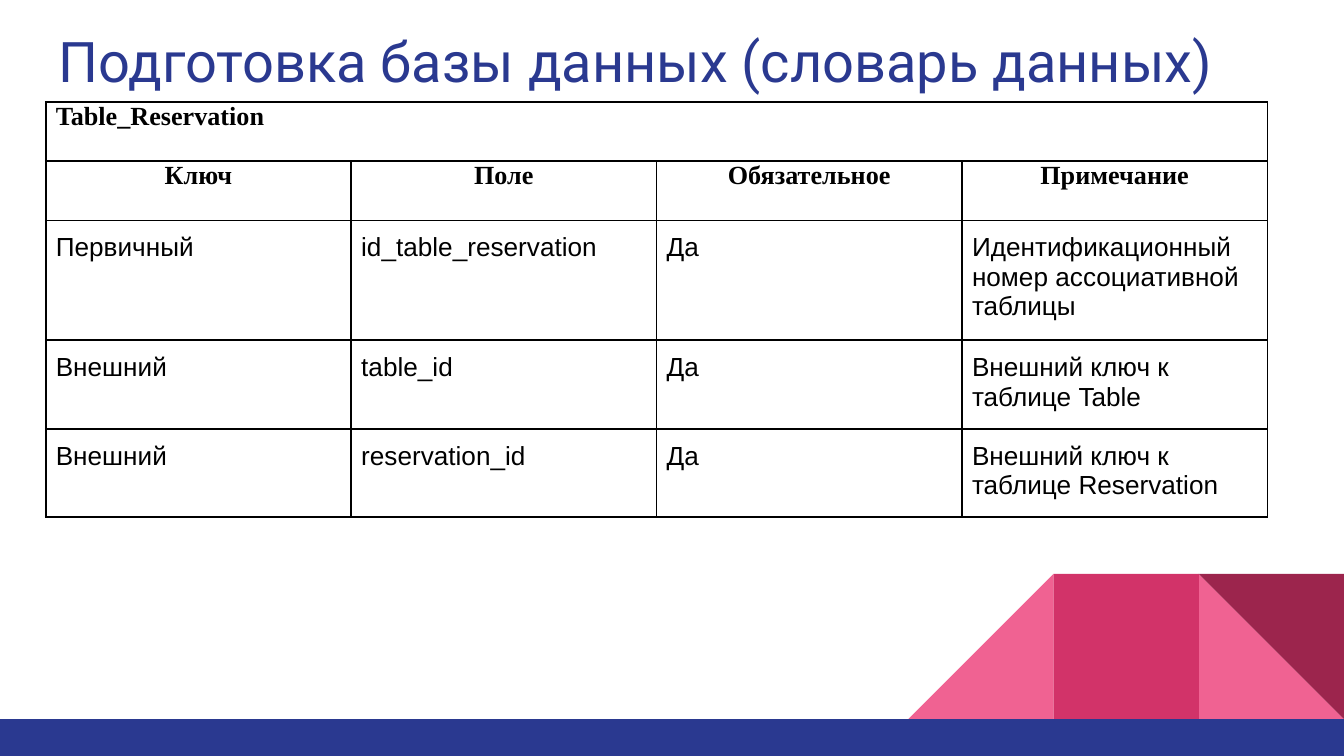
from lxml import etree
from pptx import Presentation
from pptx.dml.color import RGBColor
from pptx.enum.shapes import MSO_SHAPE
from pptx.enum.text import MSO_ANCHOR, PP_ALIGN
from pptx.oxml.ns import qn
from pptx.util import Inches, Pt

NAVY, PINK, ROSE, MAROON, BLACK = "2A3990", "F06292", "D23369", "9C254D", "000000"

TABLE_NAME = "Table_Reservation"
HEADINGS = ["Ключ", "Поле", "Обязательное", "Примечание"]
FIELDS = [
    ["Первичный", "id_table_reservation", "Да",
     "Идентификационный номер ассоциативной таблицы"],
    ["Внешний", "table_id", "Да", "Внешний ключ к таблице Table"],
    ["Внешний", "reservation_id", "Да", "Внешний ключ к таблице Reservation"],
]

HEADER_FORMAT = {"name": "Times New Roman", "size": Pt(14), "bold": True}
FIELD_FORMAT = {"name": "Arial", "size": Pt(14), "bold": False}
TITLE_FORMAT = {"name": "Roboto", "size": Pt(30), "bold": False}


def rgb(color):
    return RGBColor.from_string(color)


def write(frame, text, font_format, color, align=PP_ALIGN.LEFT):
    paragraph = frame.paragraphs[0]
    paragraph.alignment = align
    run = paragraph.add_run()
    run.text = text
    for attribute, value in font_format.items():
        setattr(run.font, attribute, value)
    run.font.color.rgb = rgb(color)
    # The paragraph end takes the text size, so it does not stretch the row
    end_size = str(font_format["size"].centipoints)
    etree.SubElement(paragraph._p, qn("a:endParaRPr"), sz=end_size)


def set_margins(target, left, top, right, bottom):
    margins = {"left": left, "top": top, "right": right, "bottom": bottom}
    for side, value in margins.items():
        setattr(target, f"margin_{side}", Pt(value))


def add_block(slide, kind, left, top, width, height, color):
    block = slide.shapes.add_shape(
        kind, Inches(left), Inches(top), Inches(width), Inches(height))
    block.shadow.inherit = False
    block.fill.solid()
    block.fill.fore_color.rgb = rgb(color)
    block.line.fill.background()
    return block


def add_decoration(slide, left, top, side):
    """Three square tiles in a row, the last one split by its diagonal."""
    middle, right = left + side, left + 2 * side
    triangle = MSO_SHAPE.RIGHT_TRIANGLE
    add_block(slide, triangle, right, top, side, side, PINK)
    slope = add_block(slide, triangle, left, top, side, side, PINK)
    slope._element.spPr.find(qn("a:xfrm")).set("flipH", "1")
    add_block(slide, MSO_SHAPE.RECTANGLE, middle, top, side, side, ROSE)
    corner = add_block(slide, triangle, right, top, side, side, MAROON)
    corner.rotation = 180


def add_title(slide, left, top, width, height):
    title = slide.shapes.add_textbox(
        Inches(left), Inches(top), Inches(width), Inches(height))
    frame = title.text_frame
    frame.word_wrap = True
    frame.vertical_anchor = MSO_ANCHOR.TOP
    set_margins(frame, 7.2, 7.2, 7.2, 7.2)
    write(frame, "Подготовка базы данных (словарь данных)", TITLE_FORMAT, NAVY)


def add_borders(cell, color, width):
    properties = cell._tc.get_or_add_tcPr()
    # Border lines come before the fill in the cell properties
    for position, tag in enumerate(["a:lnL", "a:lnR", "a:lnT", "a:lnB"]):
        line = etree.Element(qn(tag), w=str(Pt(width)))
        fill = etree.SubElement(line, qn("a:solidFill"))
        etree.SubElement(fill, qn("a:srgbClr"), val=color)
        properties.insert(position, line)


def add_dictionary(slide, left, top, width, row_height):
    rows = [[TABLE_NAME, "", "", ""], HEADINGS, *FIELDS]
    column_count = len(HEADINGS)
    table = slide.shapes.add_table(
        len(rows), column_count, Inches(left), Inches(top),
        Inches(width), Inches(row_height * len(rows))).table
    for column in table.columns:
        column.width = Inches(width / column_count)
    table.cell(0, 0).merge(table.cell(0, column_count - 1))

    for row_index, texts in enumerate(rows):
        is_header = row_index < 2
        font_format = HEADER_FORMAT if is_header else FIELD_FORMAT
        align = PP_ALIGN.CENTER if row_index == 1 else PP_ALIGN.LEFT
        margins = (5.4, 0, 5.4, 4.3) if is_header else (5.4, 6.9, 5.4, 6.9)
        for column_index, text in enumerate(texts):
            cell = table.cell(row_index, column_index)
            cell.fill.background()
            add_borders(cell, BLACK, 1)
            set_margins(cell, *margins)
            if text:
                write(cell.text_frame, text, font_format, BLACK, align)


def main():
    deck = Presentation()
    # Widescreen, 16:9
    deck.slide_width = Inches(10)
    deck.slide_height = deck.slide_width * 9 // 16
    slide = deck.slides.add_slide(deck.slide_layouts[6])

    # Corner decoration and bottom band
    add_decoration(slide, 6.76, 4.27, 1.08)
    add_block(slide, MSO_SHAPE.RECTANGLE, 0, 5.35, 10, 0.28, NAVY)

    # Title and data dictionary
    add_title(slide, 0.34, 0.1, 9.32, 0.66)
    add_dictionary(slide, 0.34, 0.76, 9.09, 0.44)

    deck.save("out.pptx")


if __name__ == "__main__":
    main()
